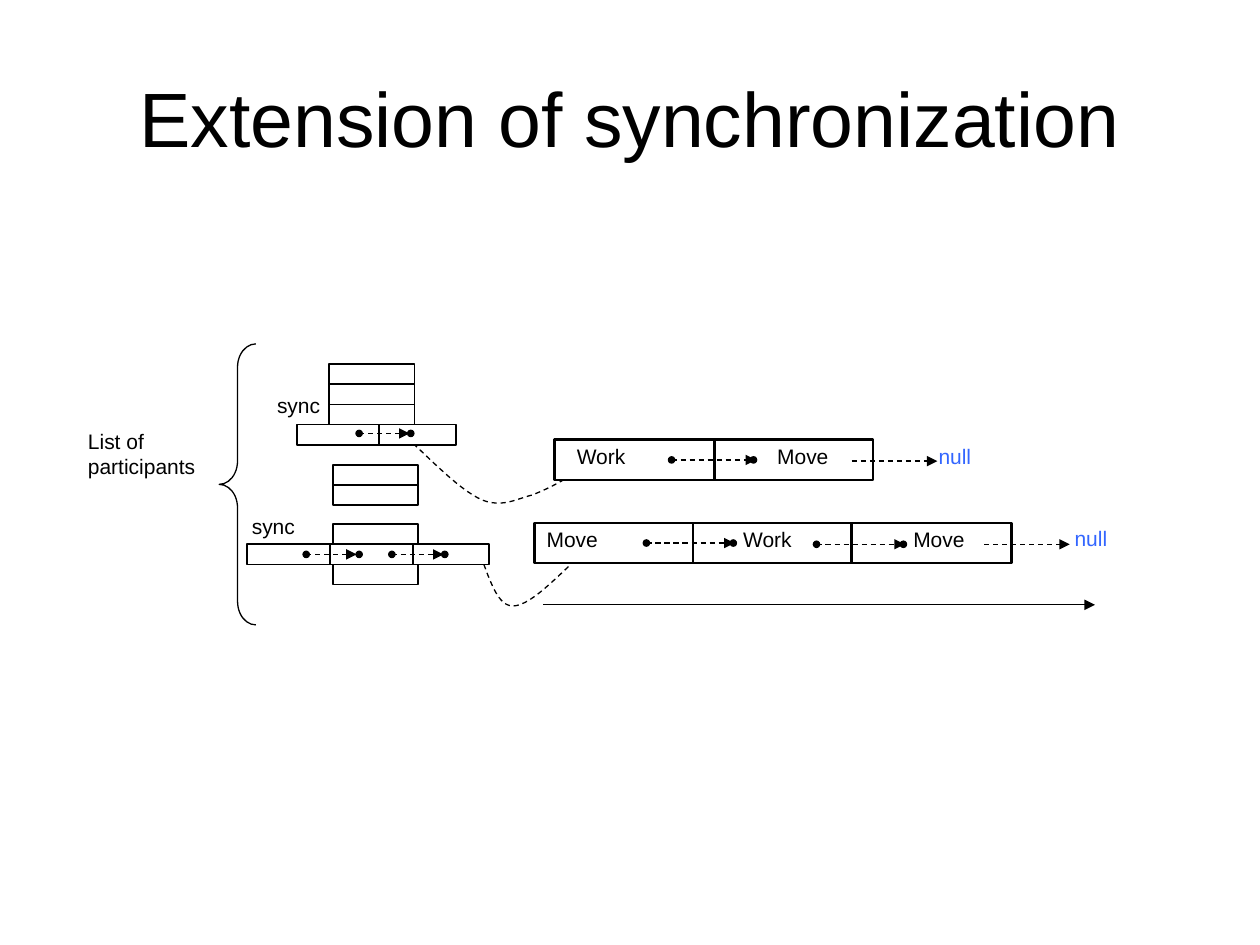
from dataclasses import dataclass

from lxml import etree
from pptx import Presentation
from pptx import util as u
from pptx.dml.color import RGBColor
from pptx.enum import dml, shapes, text
from pptx.oxml import ns

COLORS = {"ink": "000000", "paper": "FFFFFF", "null": "3366FF"}
FONT = "Arial"
THIN, MEDIUM, THICK = 0.74, 1, 1.5
ROW = 0.16
DOT = 0.05


@dataclass
class Grid:
    """A box split into columns and equal rows."""
    left: float
    top: float
    columns: tuple
    rows: int = 1
    row_height: float = ROW
    weight: float = MEDIUM


@dataclass
class Link:
    """A dashed arrow between two dots, given by their centres."""
    start: float
    end: float
    y: float
    tip: float


@dataclass
class Label:
    """A text at a position."""
    words: str
    left: float
    top: float
    width: float = 0.97
    height: float = 0.32
    color: str = "ink"


GRIDS = [
    Grid(2.61, 2.89, (0.68,), rows=4),
    Grid(2.64, 4.16, (0.68,), rows=3),
    Grid(2.64, 3.69, (0.68,), rows=2),
    Grid(2.36, 3.37, (0.65, 0.61)),
    Grid(1.96, 4.32, (0.66, 0.66, 0.6)),
    Grid(4.4, 3.49, (1.27, 1.26), row_height=0.32, weight=THICK),
    Grid(4.24, 4.15, (1.26, 1.26, 1.27), row_height=0.32, weight=THICK),
]
LINKS = [
    Link(2.85, 3.26, 3.44, 3.25),
    Link(2.43, 2.85, 4.4, 2.83),
    Link(3.11, 3.53, 4.4, 3.52),
    Link(5.33, 5.98, 3.65, 6),
    Link(5.13, 5.82, 4.31, 5.83),
    Link(6.48, 7.17, 4.32, 7.18),
]
LABELS = [
    Label("sync", 2.1, 3.07, 0.68, 0.43),
    Label("sync", 1.9, 4.03, 0.68, 0.43),
    Label("Work", 4.48, 3.47),
    Label("Move", 6.07, 3.47),
    Label("Move", 4.24, 4.13),
    Label("Work", 5.8, 4.13),
    Label("Move", 7.15, 4.13),
    Label("null", 7.35, 3.47, 0.65, 0.48, "null"),
    Label("null", 8.43, 4.12, 0.65, 0.48, "null"),
    Label("List of participants", 0.6, 3.35, 1.27, 1.13),
]
# Each curve is a chain of cubic pieces: start, then two controls and an end per piece.
CURVES = [
    [(3.28, 3.52), (3.48, 3.71), (3.67, 3.9), (3.83, 3.97), (3.99, 4.03),
     (4.1, 3.96), (4.22, 3.93), (4.33, 3.89), (4.44, 3.83), (4.54, 3.77)],
    [(3.84, 4.48), (3.9, 4.64), (3.96, 4.81), (4.07, 4.81), (4.19, 4.81),
     (4.36, 4.64), (4.53, 4.48)],
]


def color(name: str) -> RGBColor:
    """Look up a named colour."""
    return RGBColor.from_string(COLORS[name])


def style_line(line, weight: float, dashed: bool = False) -> None:
    """Set an ink line of the given weight."""
    line.color.rgb = color("ink")
    line.width = u.Pt(weight)
    if dashed:
        line.dash_style = dml.MSO_LINE.DASH


def add_shape(slide, kind, left: float, top: float, width: float, height: float,
              weight: float, fill: str = ""):
    """Add an outlined preset shape, filled if a colour is named."""
    shape = slide.shapes.add_shape(kind, *map(u.Inches, (left, top, width, height)))
    shape.shadow.inherit = False
    style_line(shape.line, weight)
    if fill:
        shape.fill.solid()
        shape.fill.fore_color.rgb = color(fill)
    else:
        shape.fill.background()
    return shape


def add_line(slide, start: tuple, end: tuple, weight: float,
             dashed: bool = False, arrow: bool = False) -> None:
    """Add a straight line, optionally dashed or with an arrowhead."""
    connector = slide.shapes.add_connector(
        shapes.MSO_CONNECTOR.STRAIGHT, *map(u.Inches, (*start, *end)))
    style_line(connector.line, weight, dashed)
    properties = connector._element.spPr
    if arrow:
        outline = properties.find(ns.qn("a:ln"))
        etree.SubElement(outline, ns.qn("a:tailEnd"), type="triangle")
    etree.SubElement(properties, ns.qn("a:effectLst"))


def add_grid(slide, grid: Grid) -> None:
    """Draw a box with its column and row dividers."""
    right = grid.left + sum(grid.columns)
    bottom = grid.top + grid.rows * grid.row_height
    add_shape(slide, shapes.MSO_SHAPE.RECTANGLE, grid.left, grid.top,
              right - grid.left, bottom - grid.top, grid.weight, "paper")
    for index in range(1, len(grid.columns)):
        x = grid.left + sum(grid.columns[:index])
        add_line(slide, (x, grid.top), (x, bottom), grid.weight)
    for index in range(1, grid.rows):
        y = grid.top + index * grid.row_height
        add_line(slide, (grid.left, y), (right, y), grid.weight)


def add_link(slide, link: Link) -> None:
    """Draw two dots joined by a dashed arrow."""
    add_line(slide, (link.start, link.y), (link.tip, link.y), THIN, True, True)
    for x in (link.start, link.end):
        add_shape(slide, shapes.MSO_SHAPE.OVAL, x - DOT / 2, link.y - DOT / 2,
                  DOT, DOT, THIN, "ink")


def add_label(slide, label: Label) -> None:
    """Add a 12-point text box."""
    box = slide.shapes.add_textbox(
        *map(u.Inches, (label.left, label.top, label.width, label.height)))
    box.text_frame.word_wrap = True
    paragraph = box.text_frame.paragraphs[0]
    paragraph.text = label.words
    style_font(paragraph.font, 12, label.color)


def style_font(font, size: float, name: str) -> None:
    """Set typeface, size and colour."""
    font.name, font.size = FONT, u.Pt(size)
    font.color.rgb = color(name)


def add_curve(slide, points: list, steps: int = 12) -> None:
    """Draw a dashed chain of cubic curves as a fine open outline."""
    outline = []
    for first in range(0, len(points) - 1, 3):
        piece = points[first:first + 4]
        for step in range(1, steps + 1):
            t = step / steps
            weights = ((1 - t) ** 3, 3 * t * (1 - t) ** 2, 3 * t * t * (1 - t), t ** 3)
            outline.append(tuple(u.Inches(sum(w * p[axis] for w, p in zip(weights, piece)))
                                 for axis in (0, 1)))
    builder = slide.shapes.build_freeform(*map(u.Inches, points[0]))
    builder.add_line_segments(outline, close=False)
    curve = builder.convert_to_shape()
    curve.shadow.inherit = False
    curve.fill.background()
    style_line(curve.line, THIN, dashed=True)


presentation = Presentation()
presentation.slide_width, presentation.slide_height = u.Inches(10), u.Inches(7.5)
slide = presentation.slides.add_slide(presentation.slide_layouts[5])

title = slide.shapes.title
title.left, title.top, title.width, title.height = map(u.Inches, (0.5, 0.3, 9, 1.25))
title.text_frame.text = "Extension of synchronization"
title.text_frame.vertical_anchor = text.MSO_ANCHOR.MIDDLE
heading = title.text_frame.paragraphs[0]
heading.alignment = text.PP_ALIGN.CENTER
style_font(heading.font, 44, "ink")

brace = add_shape(slide, shapes.MSO_SHAPE.LEFT_BRACE, 1.74, 2.73, 0.29, 2.23, THIN)
brace.adjustments[0] = 0.64
for points in CURVES:
    add_curve(slide, points)
for grid in GRIDS:
    add_grid(slide, grid)
for link in LINKS:
    add_link(slide, link)
for start, end, y in ((6.76, 7.44, 3.66), (7.81, 8.49, 4.32)):
    add_line(slide, (start, y), (end, y), THIN, dashed=True, arrow=True)
add_line(slide, (4.31, 4.8), (8.69, 4.8), THIN, arrow=True)
for label in LABELS:
    add_label(slide, label)

presentation.save("out.pptx")
